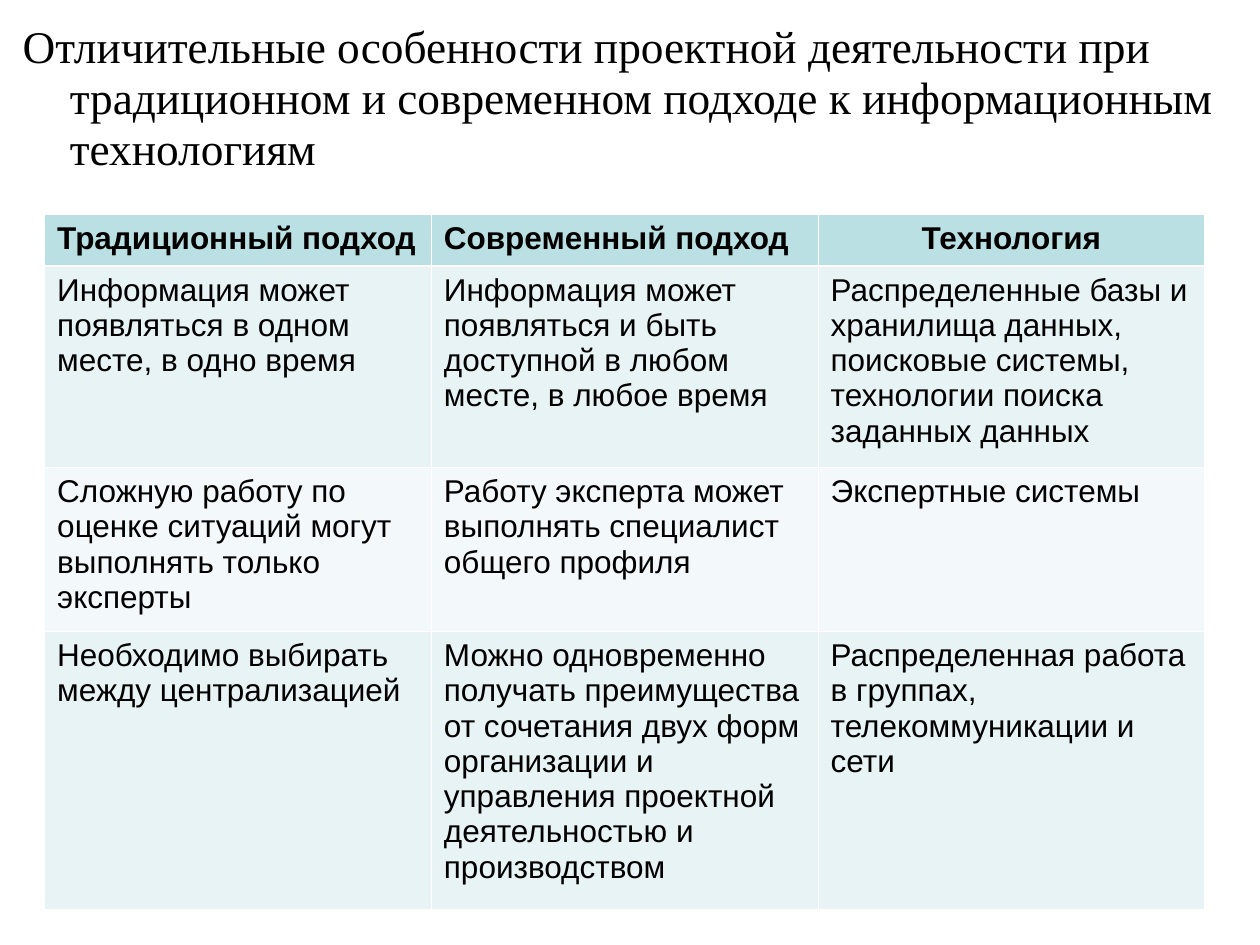
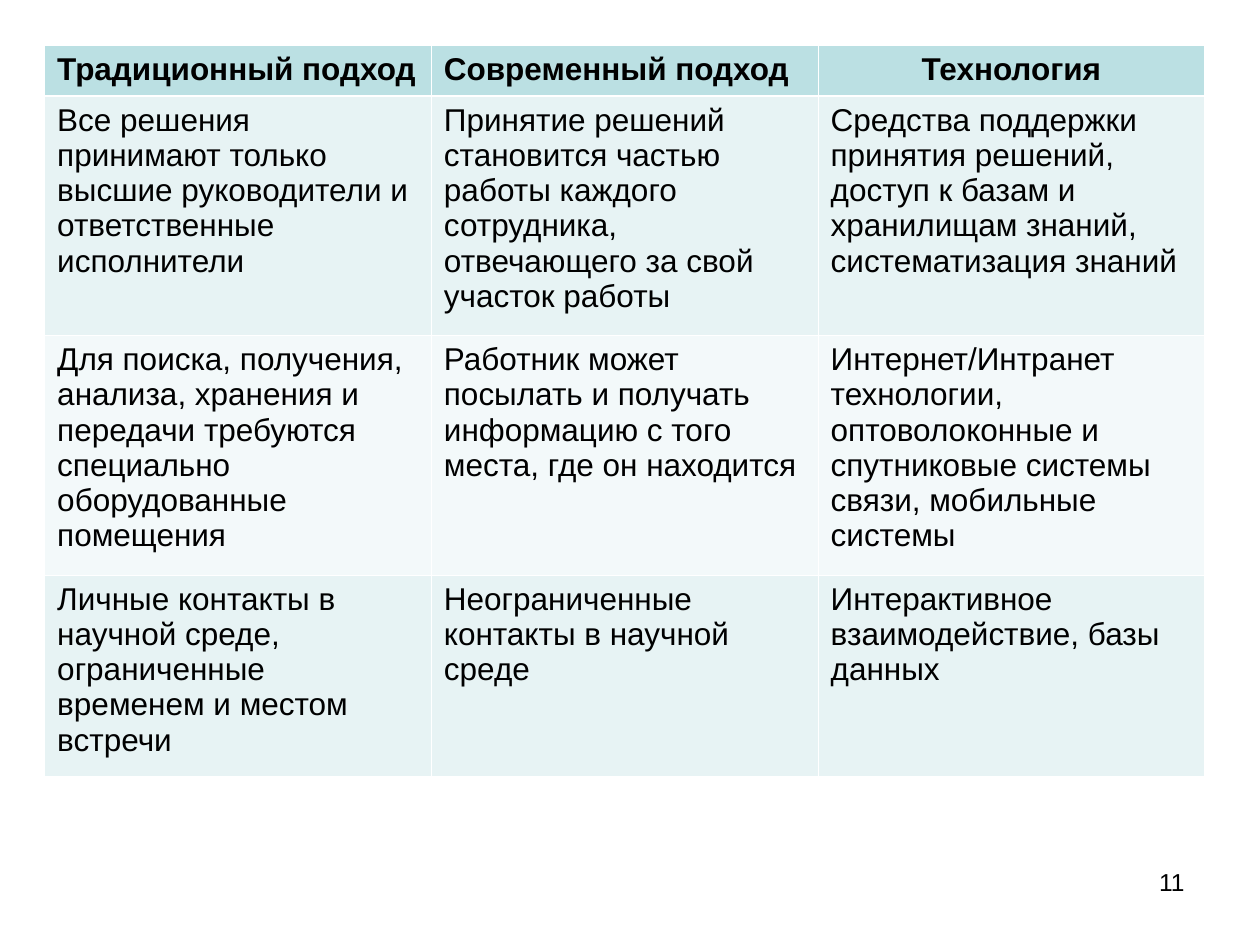
from dataclasses import dataclass

from lxml import etree
from pptx import Presentation
from pptx import util as u
from pptx.dml import color
from pptx.enum import text
from pptx.oxml import ns


@dataclass(frozen=True)
class Theme:
    ink: str = "000000"
    rule: str = "FFFFFF"
    header: str = "BBE0E3"
    bands: tuple = ("E7F3F4", "F3F9FA")
    title_font: str = "Times New Roman"
    body_font: str = "Arial"
    title_size: float = 25.9
    body_size: float = 18
    number_size: float = 14
    thin: float = 0.45
    thick: float = 1.47


theme = Theme()
LEFT, CENTER, RIGHT = text.PP_ALIGN.LEFT, text.PP_ALIGN.CENTER, text.PP_ALIGN.RIGHT


def write(frame, words, *, size=theme.body_size, font=theme.body_font, bold=False,
          align=LEFT, spacing=1.0, hanging=0):
    """Put one formatted paragraph into a text frame."""
    frame.word_wrap = True
    paragraph = frame.paragraphs[0]
    paragraph.alignment = align
    paragraph.line_spacing = spacing
    if hanging:
        properties = paragraph._p.get_or_add_pPr()
        properties.set("marL", str(u.Pt(hanging)))
        properties.set("indent", str(-u.Pt(hanging)))
    run = paragraph.add_run()
    run.text = words
    run.font.size = u.Pt(size)
    run.font.name = font
    run.font.bold = bold
    run.font.color.rgb = color.RGBColor.from_string(theme.ink)


def rule_cell(cell, **widths):
    """Draw the cell borders; widths are given per side L, R, T, B."""
    properties = cell._tc.get_or_add_tcPr()
    for side, width in widths.items():
        line = etree.SubElement(properties, ns.qn(f"a:ln{side}"), w=str(u.Pt(width)))
        fill = etree.SubElement(line, ns.qn("a:solidFill"))
        etree.SubElement(fill, ns.qn("a:srgbClr"), val=theme.rule)


# Content
headings = ["Традиционный подход", "Современный подход", "Технология"]
comparisons = [
    {
        "title": "Отличительные особенности проектной деятельности при традиционном "
                 "и современном подходе к информационным технологиям",
        "top": 122.6,
        "heights": [29.5, 115.2, 93.6, 158.4],
        "rows": [
            ["Информация может появляться в одном месте, в одно время",
             "Информация может появляться и быть доступной в любом месте, в любое время",
             "Распределенные базы и хранилища данных, поисковые системы, "
             "технологии поиска заданных данных"],
            ["Сложную работу по оценке ситуаций могут выполнять только эксперты",
             "Работу эксперта может выполнять специалист общего профиля",
             "Экспертные системы"],
            ["Необходимо выбирать между централизацией",
             "Можно одновременно получать преимущества от сочетания двух форм "
             "организации и управления проектной деятельностью и производством",
             "Распределенная работа в группах, телекоммуникации и сети"],
        ],
    },
    {
        "number": "11",
        "top": 26.2,
        "heights": [28.8, 136.8, 136.8, 115.2],
        "rows": [
            ["Все решения принимают только высшие руководители и ответственные исполнители",
             "Принятие решений становится частью работы каждого сотрудника, "
             "отвечающего за свой участок работы",
             "Средства поддержки принятия решений, доступ к базам и хранилищам знаний, "
             "систематизация знаний"],
            ["Для поиска, получения, анализа, хранения и передачи требуются "
             "специально оборудованные помещения",
             "Работник может посылать и получать информацию с того места, где он находится",
             "Интернет/Интранет технологии, оптоволоконные и спутниковые системы связи, "
             "мобильные системы"],
            ["Личные контакты в научной среде, ограниченные временем и местом встречи",
             "Неограниченные контакты в научной среде",
             "Интерактивное взаимодействие, базы данных"],
        ],
    },
]

deck = Presentation()
deck.slide_width, deck.slide_height = u.Pt(720), u.Pt(540)

for comparison in comparisons:
    slide = deck.slides.add_slide(deck.slide_layouts[6])

    # Title
    if "title" in comparison:
        title = slide.shapes.add_textbox(u.Pt(5.8), u.Pt(9.4), u.Pt(705.6), u.Pt(108))
        write(title.text_frame, comparison["title"], size=theme.title_size,
              font=theme.title_font, spacing=0.94, hanging=27)

    # Slide number
    if "number" in comparison:
        number = slide.shapes.add_textbox(u.Pt(516), u.Pt(492), u.Pt(168), u.Pt(37.5))
        write(number.text_frame, comparison["number"], size=theme.number_size, align=RIGHT)

    # Comparison table
    rows = [headings] + comparison["rows"]
    heights = comparison["heights"]
    approaches = slide.shapes.add_table(
        len(rows), len(headings), u.Pt(25.5), u.Pt(comparison["top"]),
        u.Pt(663), u.Pt(sum(heights))).table
    for r, (row, height) in enumerate(zip(rows, heights)):
        approaches.rows[r].height = u.Pt(height)
        is_header = r == 0
        background = theme.header if is_header else theme.bands[(r - 1) % 2]
        for c, words in enumerate(row):
            cell = approaches.cell(r, c)
            write(cell.text_frame, words, bold=is_header,
                  align=CENTER if is_header and c == 2 else LEFT)
            rule_cell(cell, L=theme.thin, R=theme.thin,
                      T=theme.thick if r == 1 else theme.thin,
                      B=theme.thick if is_header else theme.thin)
            cell.fill.solid()
            cell.fill.fore_color.rgb = color.RGBColor.from_string(background)

deck.save("out.pptx")
